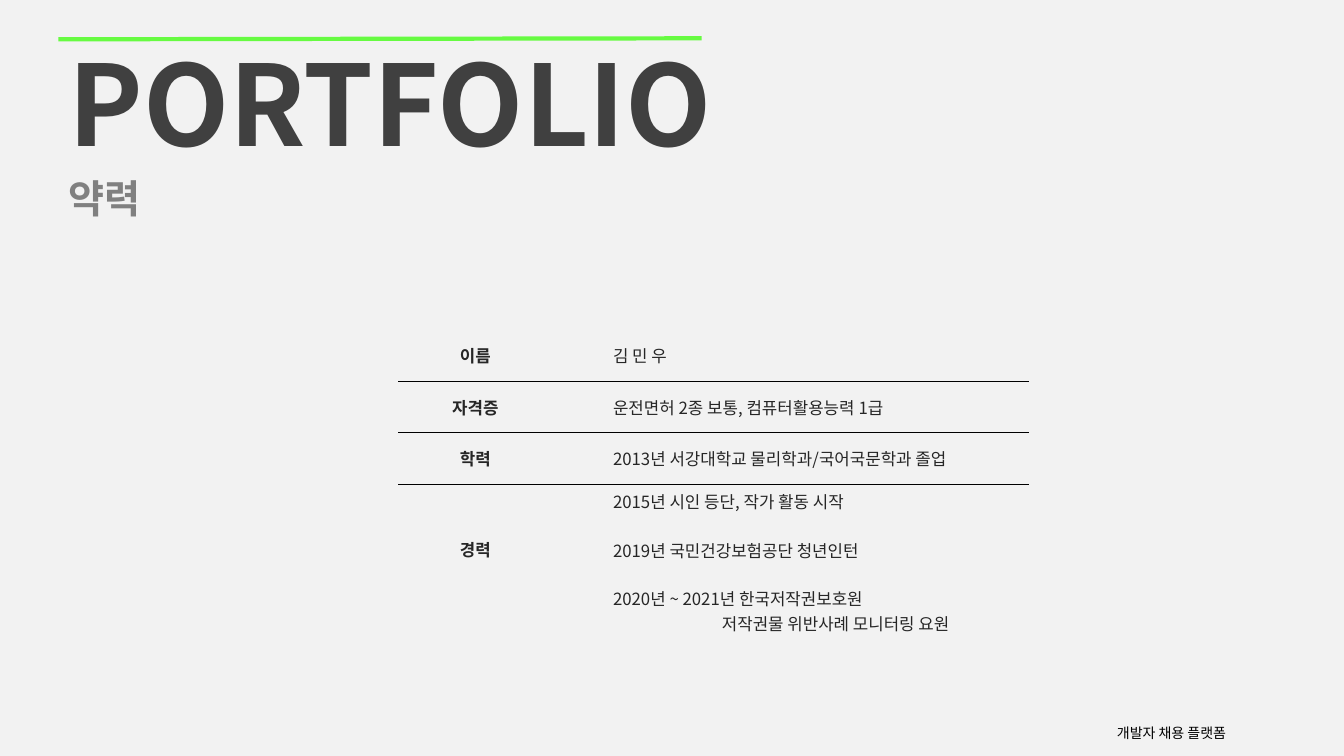
from lxml import etree
from pptx import Presentation
from pptx.dml.color import RGBColor
from pptx.enum import shapes, text
from pptx.oxml.ns import qn
from pptx.util import Inches, Pt

FONT = "Noto Sans CJK KR"
PAPER = RGBColor(0xF2, 0xF2, 0xF2)
BLACK = RGBColor(0x00, 0x00, 0x00)
INK = RGBColor(0x26, 0x26, 0x26)
CHARCOAL = RGBColor(0x40, 0x40, 0x40)
GREY = RGBColor(0x80, 0x80, 0x80)
GREEN = RGBColor(0x67, 0xFB, 0x42)
NO_GRID_STYLE = "{2D5ABB26-0587-4C30-8999-92F81FD0307C}"


def style(para, size, color, bold=False):
    """Set the font for both Latin and Korean letters."""
    para.font.name = FONT
    para.font.size = Pt(size)
    para.font.bold = bold
    para.font.color.rgb = color
    east_asian = etree.SubElement(para.font._element, qn("a:ea"))
    east_asian.set("typeface", FONT)


def add_border(cell, side):
    """Draw a thin black line on one side (lnT or lnB) of a cell."""
    line = etree.Element(qn(f"a:{side}"), w=str(Pt(0.25)))
    fill = etree.SubElement(line, qn("a:solidFill"))
    etree.SubElement(fill, qn("a:srgbClr"), val=str(BLACK))
    cell._tc.get_or_add_tcPr().insert(0, line)


deck = Presentation()
deck.slide_width, deck.slide_height = Inches(13.33), Inches(7.5)
page = deck.slides.add_slide(deck.slide_layouts[5])
page.background.fill.solid()
page.background.fill.fore_color.rgb = PAPER

# Headings and footer
title = page.shapes.title
title.left, title.top = Inches(0.58), Inches(0.29)
title.width, title.height = Inches(8.72), Inches(1.45)
subtitle = page.shapes.add_textbox(Inches(0.58), Inches(1.73), Inches(12.22), Inches(0.84))
footer = page.shapes.add_textbox(Inches(10.98), Inches(7.14), Inches(1.62), Inches(0.28))
for box, words, size, color, bold in [
    (title, "PORTFOLIO", 80, CHARCOAL, True),
    (subtitle, "약력", 28, GREY, True),
    (footer, "개발자 채용 플랫폼", 10, BLACK, False),
]:
    frame = box.text_frame
    frame.word_wrap = True
    frame.auto_size = text.MSO_AUTO_SIZE.NONE
    frame.vertical_anchor = text.MSO_ANCHOR.TOP
    frame.text = words
    para = frame.paragraphs[0]
    para.alignment = text.PP_ALIGN.LEFT
    style(para, size, color, bold)
subtitle.text_frame.paragraphs[0].line_spacing = 0.9

rule = page.shapes.add_connector(
    shapes.MSO_CONNECTOR.STRAIGHT, Inches(0.58), Inches(0.39), Inches(6.96), Inches(0.38))
rule.line.color.rgb = GREEN
rule.line.width = Pt(3)
etree.SubElement(rule._element.spPr, qn("a:effectLst"))

# Profile table: each entry line is (words, indent in inches, space before in points)
profile = [
    ("이름", [("김 민 우", 0.5, 0)]),
    ("자격증", [("운전면허 2종 보통, 컴퓨터활용능력 1급", 0.5, 0)]),
    ("학력", [("2013년 서강대학교 물리학과/국어국문학과 졸업", 0.5, 0)]),
    ("경력", [
        ("2015년 시인 등단, 작가 활동 시작", 0.5, 0),
        ("2019년 국민건강보험공단 청년인턴", 0.5, 17.4),
        ("2020년 ~ 2021년 한국저작권보호원", 0.5, 17.4),
        ("저작권물 위반사례 모니터링 요원", 1.58, 0),
    ]),
]
holder = page.shapes.add_table(
    len(profile), 2, Inches(3.95), Inches(3.27), Inches(6.26), Inches(2.82))
table = holder.table
table.first_row = table.horz_banding = False
table._tbl.tblPr.find(qn("a:tableStyleId")).text = NO_GRID_STYLE
for column, width in zip(table.columns, (1.53, 4.73)):
    column.width = Inches(width)

last = len(profile) - 1
for index, (label, entries) in enumerate(profile):
    table.rows[index].height = Inches(1.29 if index == last else 0.51)
    label_cell, entry_cell = table.cell(index, 0), table.cell(index, 1)
    for cell in (label_cell, entry_cell):
        cell.vertical_anchor = text.MSO_ANCHOR.MIDDLE
        cell.fill.background()
        if index < last:
            add_border(cell, "lnB")
        if index > 0:
            add_border(cell, "lnT")

    label_cell.text = label
    label_para = label_cell.text_frame.paragraphs[0]
    label_para.alignment = text.PP_ALIGN.CENTER
    style(label_para, 12, INK, True)

    entry_cell.text = "\n".join(words for words, _, _ in entries)
    for para, (_, indent, gap) in zip(entry_cell.text_frame.paragraphs, entries):
        para._p.get_or_add_pPr().set("marL", str(Inches(indent)))
        if gap:
            para.space_before = Pt(gap)
        style(para, 12, INK)
# The last label sits level with the second career entry
table.cell(last, 0).margin_bottom = Inches(0.3)

deck.save("out.pptx")
